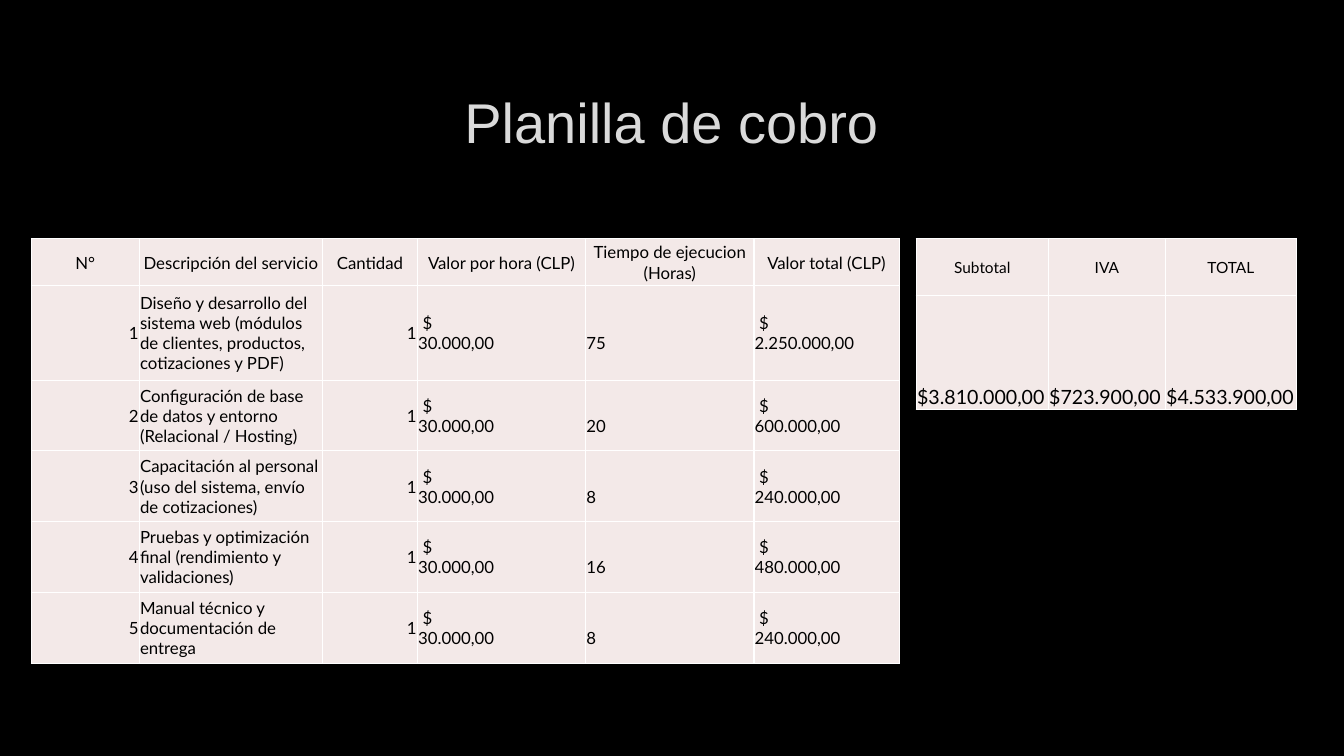
"""Build the "Planilla de cobro" billing slide."""
from dataclasses import dataclass

from lxml import etree
from pptx import Presentation
from pptx.dml.color import RGBColor
from pptx.enum import text
from pptx.oxml import ns
from pptx.util import Cm, Pt

TITLE = "Planilla de cobro"
HEADERS = ["N°", "Descripción del servicio", "Cantidad", "Valor por hora (CLP)",
           "Tiempo de ejecucion (Horas)", "Valor total (CLP)"]
SERVICES = [
    ("Diseño y desarrollo del sistema web (módulos de clientes, productos, cotizaciones y PDF)",
     "75", "2.250.000,00"),
    ("Configuración de base de datos y entorno (Relacional / Hosting)", "20", "600.000,00"),
    ("Capacitación al personal (uso del sistema, envío de cotizaciones)", "8", "240.000,00"),
    ("Pruebas y optimización final (rendimiento y validaciones)", "16", "480.000,00"),
    ("Manual técnico y documentación de entrega", "8", "240.000,00"),
]
QUANTITY, RATE = "1", "30.000,00"
TOTALS = [("Subtotal", "$3.810.000,00"), ("IVA", "$723.900,00"), ("TOTAL", "$4.533.900,00")]

SERVICE_COLS = [2.72, 4.62, 2.39, 4.24, 4.24, 3.66]
SERVICE_ROWS = [1.17, 2.39, 1.78, 1.78, 1.78, 1.8]
TOTAL_COLS = [3.33, 2.95, 3.3]
TOTAL_ROWS = [1.42, 2.87]
TABLE_TOP, SERVICE_LEFT, TOTAL_LEFT = 6.02, 0.79, 23.09
INSET, HOURS_DROP = 0.02, 0.52

LEFT, CENTER, RIGHT = text.PP_ALIGN.LEFT, text.PP_ALIGN.CENTER, text.PP_ALIGN.RIGHT
MIDDLE, BOTTOM = text.MSO_ANCHOR.MIDDLE, text.MSO_ANCHOR.BOTTOM


@dataclass(frozen=True)
class Theme:
    """Colours, fonts and type sizes."""
    background: str = "000000"
    title: str = "DADADA"
    ink: str = "000000"
    cell: str = "F3E9E8"
    border: str = "FFFFFF"
    title_font: str = "Arial"
    body_font: str = "Lato"
    title_size: int = 40
    body_size: int = 12
    total_head_size: int = 11
    total_size: int = 14


THEME = Theme()


def write(p, lines, size, font, color, align):
    """Add one run per line, separated by line breaks."""
    p.alignment = align
    for i, line in enumerate(lines):
        if i:
            p.add_line_break()
        r = p.add_run()
        r.text = line
        r.font.size, r.font.name = Pt(size), font
        r.font.color.rgb = RGBColor.from_string(color)


def add_borders(cell):
    """Draw a thin line on all four sides of a cell."""
    props = cell._tc.get_or_add_tcPr()
    for i, side in enumerate(("lnL", "lnR", "lnT", "lnB")):
        ln = etree.Element(ns.qn(f"a:{side}"), w=str(Pt(1)))
        fill = etree.SubElement(ln, ns.qn("a:solidFill"))
        etree.SubElement(fill, ns.qn("a:srgbClr"), val=THEME.border)
        props.insert(i, ln)


def fill_cell(cell, lines, align=LEFT, size=THEME.body_size, anchor=MIDDLE, top=INSET):
    """Format a cell and write its text."""
    cell.margin_left = cell.margin_right = Cm(INSET)
    cell.margin_top, cell.margin_bottom = Cm(top), 0
    cell.vertical_anchor = anchor
    cell.fill.solid()
    cell.fill.fore_color.rgb = RGBColor.from_string(THEME.cell)
    add_borders(cell)
    write(cell.text_frame.paragraphs[0], lines, size, THEME.body_font, THEME.ink, align)


def add_grid(slide, left, cols, rows):
    """Add an unstyled table with the given column widths and row heights."""
    table = slide.shapes.add_table(len(rows), len(cols), Cm(left), Cm(TABLE_TOP),
                                   Cm(sum(cols)), Cm(sum(rows))).table
    table.first_row = table.horz_banding = False
    for column, width in zip(table.columns, cols):
        column.width = Cm(width)
    for row, height in zip(table.rows, rows):
        row.height = Cm(height)
    return table


def add_title(slide):
    """Place and format the title."""
    sp = slide.shapes.title
    sp.left, sp.top, sp.width, sp.height = Cm(2.54), Cm(1.7), Cm(28.75), Cm(2.69)
    tf = sp.text_frame
    tf.vertical_anchor = MIDDLE
    write(tf.paragraphs[0], [TITLE], THEME.title_size, THEME.title_font, THEME.title, CENTER)


def add_services(slide):
    """Add the table of billed services."""
    table = add_grid(slide, SERVICE_LEFT, SERVICE_COLS, SERVICE_ROWS)
    for c, header in enumerate(HEADERS):
        fill_cell(table.cell(0, c), [header], CENTER)
    for n, (service, hours, total) in enumerate(SERVICES, 1):
        fill_cell(table.cell(n, 0), [str(n)], RIGHT)
        fill_cell(table.cell(n, 1), [service])
        fill_cell(table.cell(n, 2), [QUANTITY], RIGHT)
        fill_cell(table.cell(n, 3), [" $", RATE])
        fill_cell(table.cell(n, 4), [hours], top=HOURS_DROP)
        fill_cell(table.cell(n, 5), [" $", total])


def add_totals(slide):
    """Add the table of totals."""
    table = add_grid(slide, TOTAL_LEFT, TOTAL_COLS, TOTAL_ROWS)
    for c, (name, amount) in enumerate(TOTALS):
        fill_cell(table.cell(0, c), [name], CENTER, THEME.total_head_size)
        fill_cell(table.cell(1, c), [amount], LEFT, THEME.total_size, BOTTOM)


def main():
    """Build and save the slide."""
    prs = Presentation()
    prs.slide_width, prs.slide_height = Cm(33.87), Cm(19.05)
    slide = prs.slides.add_slide(prs.slide_layouts[5])
    slide.background.fill.solid()
    slide.background.fill.fore_color.rgb = RGBColor.from_string(THEME.background)
    add_title(slide)
    add_services(slide)
    add_totals(slide)
    prs.save("out.pptx")


if __name__ == "__main__":
    main()
